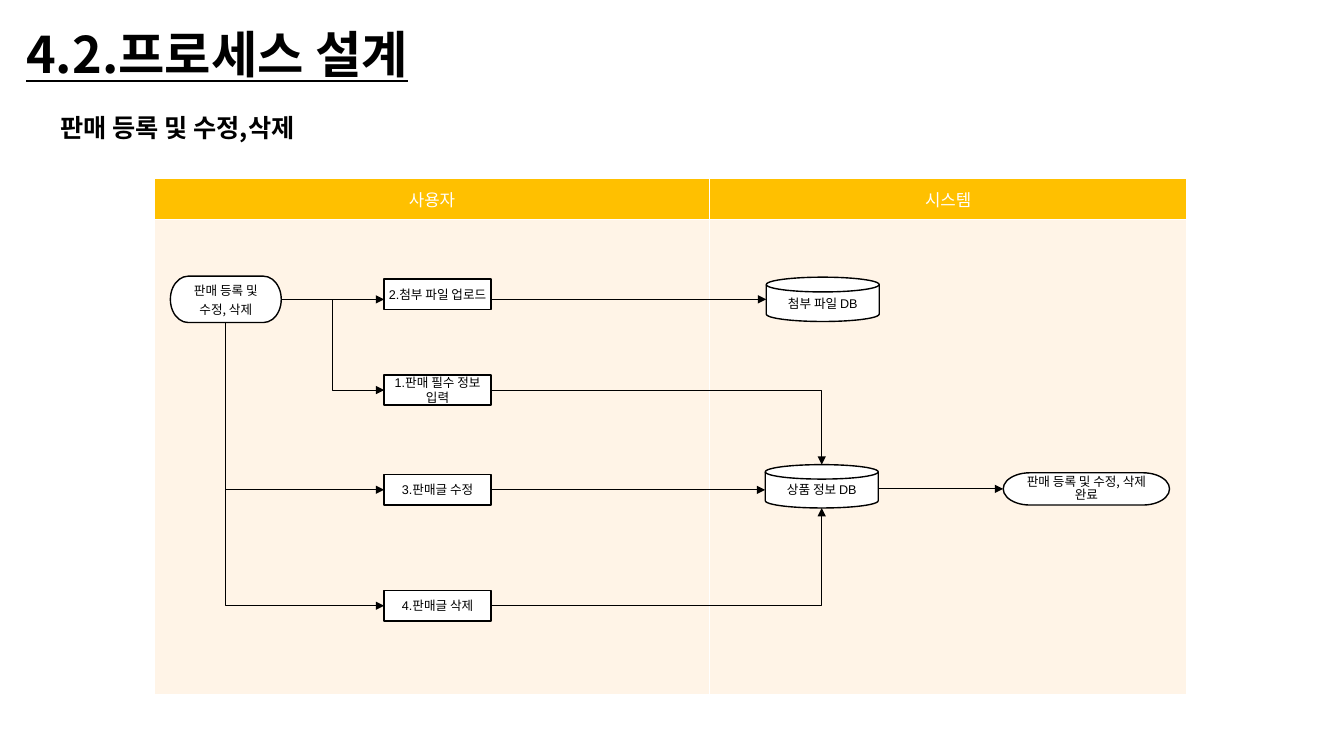
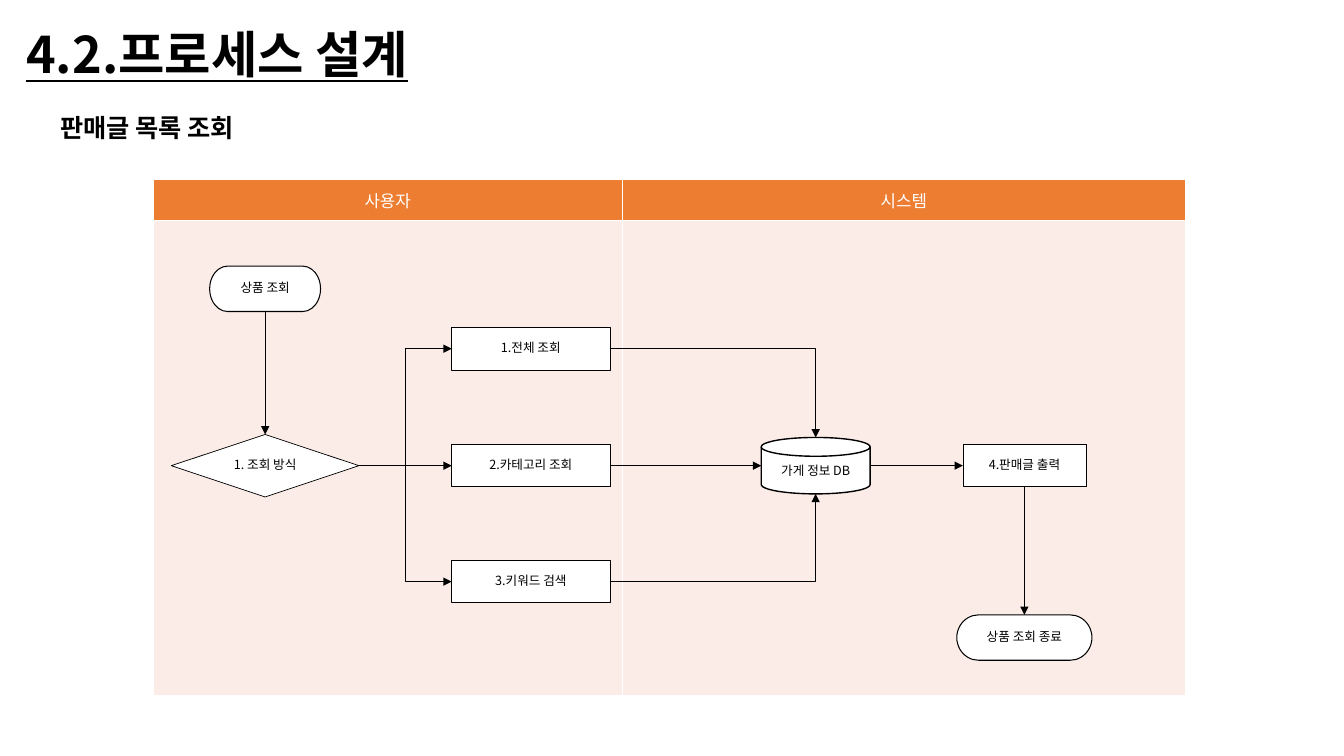
import pptx
import pptx.dml.color
import pptx.enum.shapes
import pptx.enum.text
import pptx.oxml.ns
import pptx.util
from lxml import etree

PX = 9144  # EMU per px, 100 px to the inch
COLORS = {"black": "000000", "white": "FFFFFF",
          "amber": "FFC000", "cream": "FFF4E7",
          "orange": "ED7D31", "blush": "FCECE8"}
KOREAN = "Noto Sans CJK KR"
SHAPE = pptx.enum.shapes.MSO_SHAPE
DISK = SHAPE.FLOWCHART_MAGNETIC_DISK
CONNECTOR = pptx.enum.shapes.MSO_CONNECTOR
ANCHOR = pptx.enum.text.MSO_ANCHOR
ALIGN = pptx.enum.text.PP_ALIGN
TOP, LEFT, BOTTOM, RIGHT = range(4)
qn = pptx.oxml.ns.qn


def px(*lengths):
    return [pptx.util.Emu(n * PX) for n in lengths]


def rgb(name):
    return pptx.dml.color.RGBColor.from_string(COLORS[name])


def set_text(tf, text, size=9, font=KOREAN, color="black", bold=False,
             underline=False, align=ALIGN.CENTER, anchor=ANCHOR.MIDDLE,
             inset=None, wrap=True, spacing=1.0, before=0, after=0):
    """Fill a text frame, one paragraph per line of text."""
    tf.word_wrap = wrap
    tf.vertical_anchor = anchor
    tf.auto_size = pptx.enum.text.MSO_AUTO_SIZE.NONE
    if inset is not None:
        tf.margin_left, tf.margin_right = px(inset, inset)
        tf.margin_top = tf.margin_bottom = 0
    for i, line in enumerate(text.split("\n")):
        p = tf.add_paragraph() if i else tf.paragraphs[0]
        p.alignment = align
        p.line_spacing = spacing
        p.space_before = pptx.util.Pt(before)
        p.space_after = pptx.util.Pt(after)
        r = p.add_run()
        r.text = line
        r.font.size = pptx.util.Pt(size)
        r.font.name = font
        r.font.bold = bold
        r.font.underline = underline
        r.font.color.rgb = rgb(color)
        etree.SubElement(r._r.get_or_add_rPr(), qn("a:ea"), typeface=KOREAN)


def add_node(s, kind, box, text, line=1, **fmt):
    sp = s.shapes.add_shape(kind, *px(*box))
    sp.shadow.inherit = False
    sp.fill.solid()
    sp.fill.fore_color.rgb = rgb("white")
    sp.line.color.rgb = rgb("black")
    sp.line.width = pptx.util.Pt(line)
    set_text(sp.text_frame, text, **fmt)
    return sp


def add_disk(s, box, text, font="Arial"):
    return add_node(s, DISK, box, text, font=font, inset=4, wrap=False)


def add_link(s, start, end, corner=False, step=False, width=0.5, arrow="tailEnd"):
    """Join two ends, each a (shape, side) pair or an (x, y) point in px.

    corner bends once, horizontal part first; step bends twice.
    """
    kind = CONNECTOR.ELBOW if corner or step else CONNECTOR.STRAIGHT
    points = [n for e in (start, end)
              for n in (px(*e) if isinstance(e[0], int) else (0, 0))]
    c = s.shapes.add_connector(kind, *points)
    for e, connect, tag in ((start, c.begin_connect, "a:stCxn"),
                            (end, c.end_connect, "a:endCxn")):
        if isinstance(e[0], int):
            continue
        connect(*e)
        # A disk has one more site, on its lid, ahead of the four sides
        if e[0].auto_shape_type == DISK:
            c._element.xpath(".//" + tag)[0].set("idx", str(e[1] + 1))
    if corner:
        c._element.xpath(".//a:prstGeom")[0].set("prst", "bentConnector2")
    c.line.color.rgb = rgb("black")
    c.line.width = pptx.util.Pt(width)
    etree.SubElement(c.line._get_or_add_ln(), qn("a:" + arrow), type="triangle")
    etree.SubElement(c._element.spPr, qn("a:effectLst"))


def add_border(cell):
    tcPr = cell._tc.get_or_add_tcPr()
    for i, side in enumerate("LRTB"):
        ln = etree.Element(qn("a:ln" + side), w=str(pptx.util.Pt(1)))
        fill = etree.SubElement(ln, qn("a:solidFill"))
        etree.SubElement(fill, qn("a:srgbClr"), val=COLORS["white"])
        tcPr.insert(i, ln)


def add_lanes(s, left, top, widths, head, body):
    heights = (41, 471)
    table = s.shapes.add_table(
        2, 2, *px(left, top, sum(widths), sum(heights))).table
    for column, w in zip(table.columns, px(*widths)):
        column.width = w
    for row, h, color in zip(table.rows, px(*heights), (head, body)):
        row.height = h
        for cell in row.cells:
            cell.fill.solid()
            cell.fill.fore_color.rgb = rgb(color)
            add_border(cell)
    for cell, name in zip(table.rows[0].cells, ("사용자", "시스템")):
        cell.vertical_anchor = ANCHOR.MIDDLE
        set_text(cell.text_frame, name, size=12, color="white")


def add_slide(prs, subtitle):
    s = prs.slides.add_slide(prs.slide_layouts[5])
    title = s.shapes.title
    title.left, title.top, title.width, title.height = px(16, 18, 551, 71)
    heading = dict(bold=True, align=ALIGN.LEFT, anchor=ANCHOR.TOP)
    set_text(title.text_frame, "4.2.프로세스 설계", size=36, underline=True, **heading)
    tb = s.shapes.add_textbox(*px(50, 107, 548, 40))
    set_text(tb.text_frame, subtitle, size=18, **heading)
    return s


def build_registration(prs):
    s = add_slide(prs, "판매 등록 및 수정,삭제")
    add_lanes(s, 153, 177, (551, 473), "amber", "cream")

    # Nodes
    start = add_node(s, SHAPE.FLOWCHART_TERMINATOR, (169, 274, 110, 46),
                     "판매 등록 및\n수정, 삭제", inset=2, spacing=1.1, before=0.9, after=0.9)
    done = add_node(s, SHAPE.FLOWCHART_TERMINATOR, (995, 469, 165, 32),
                    "판매 등록 및 수정, 삭제\n완료", inset=2, spacing=0.9)
    upload, enter, edit, delete = [
        add_node(s, SHAPE.RECTANGLE, (381, top, 106, 30), text, font="Arial", inset=2)
        for top, text in ((277, "2.첨부 파일 업로드"), (372, "1.판매 필수 정보 입력"),
                          (471, "3.판매글 수정"), (586, "4.판매글 삭제"))]
    files = add_disk(s, (760, 275, 112, 44), "첨부 파일 DB")
    goods = add_disk(s, (759, 461, 112, 43), "상품 정보 DB")

    # Links
    for step in (edit, delete):
        add_link(s, (step, LEFT), (start, BOTTOM), corner=True, width=0.75, arrow="headEnd")
    add_link(s, (start, RIGHT), (enter, LEFT), step=True)
    add_link(s, (start, RIGHT), (381, 297))
    add_link(s, (487, 297), (files, LEFT))
    add_link(s, (enter, RIGHT), (goods, TOP), corner=True)
    add_link(s, (delete, RIGHT), (goods, BOTTOM), corner=True)
    add_link(s, (edit, RIGHT), (759, 486), width=0.75)
    add_link(s, (871, 485), (done, LEFT), width=0.75)


def build_listing(prs):
    s = add_slide(prs, "판매글 목록 조회")
    add_lanes(s, 152, 178, (465, 559), "orange", "blush")

    # Nodes
    step = dict(line=0.5, spacing=0.9, before=4.5)
    start, done = [
        add_node(s, SHAPE.FLOWCHART_TERMINATOR, box, text, line=0.75,
                 font="Arial", inset=2, spacing=0.9)
        for box, text in (((208, 264, 110, 45), "상품 조회"),
                          ((949, 610, 134, 45), "상품 조회 종료"))]
    method = add_node(s, SHAPE.DIAMOND, (170, 431, 186, 62), "1. 조회 방식", **step)
    everything, category, keyword = [
        add_node(s, SHAPE.RECTANGLE, (448, top, 157, 42), text, **step)
        for top, text in ((325, "1.전체 조회"), (441, "2.카테고리 조회"),
                          (556, "3.키워드 검색"))]
    store = add_disk(s, (755, 434, 108, 56), "가게 정보 DB", font=KOREAN)
    output = add_node(s, SHAPE.RECTANGLE, (955, 441, 122, 42), "4.판매글 출력", **step)

    # Links
    add_link(s, (start, BOTTOM), (method, TOP))
    add_link(s, (method, RIGHT), (category, LEFT))
    for search, side in ((everything, TOP), (keyword, BOTTOM)):
        add_link(s, (method, RIGHT), (search, LEFT), step=True)
        add_link(s, (search, RIGHT), (store, side), corner=True)
    add_link(s, (category, RIGHT), (store, LEFT))
    add_link(s, (863, 462), (output, LEFT))
    add_link(s, (output, BOTTOM), (done, TOP))


def main():
    prs = pptx.Presentation()
    prs.slide_width, prs.slide_height = px(1333, 750)
    build_registration(prs)
    build_listing(prs)
    prs.save("out.pptx")


if __name__ == "__main__":
    main()
